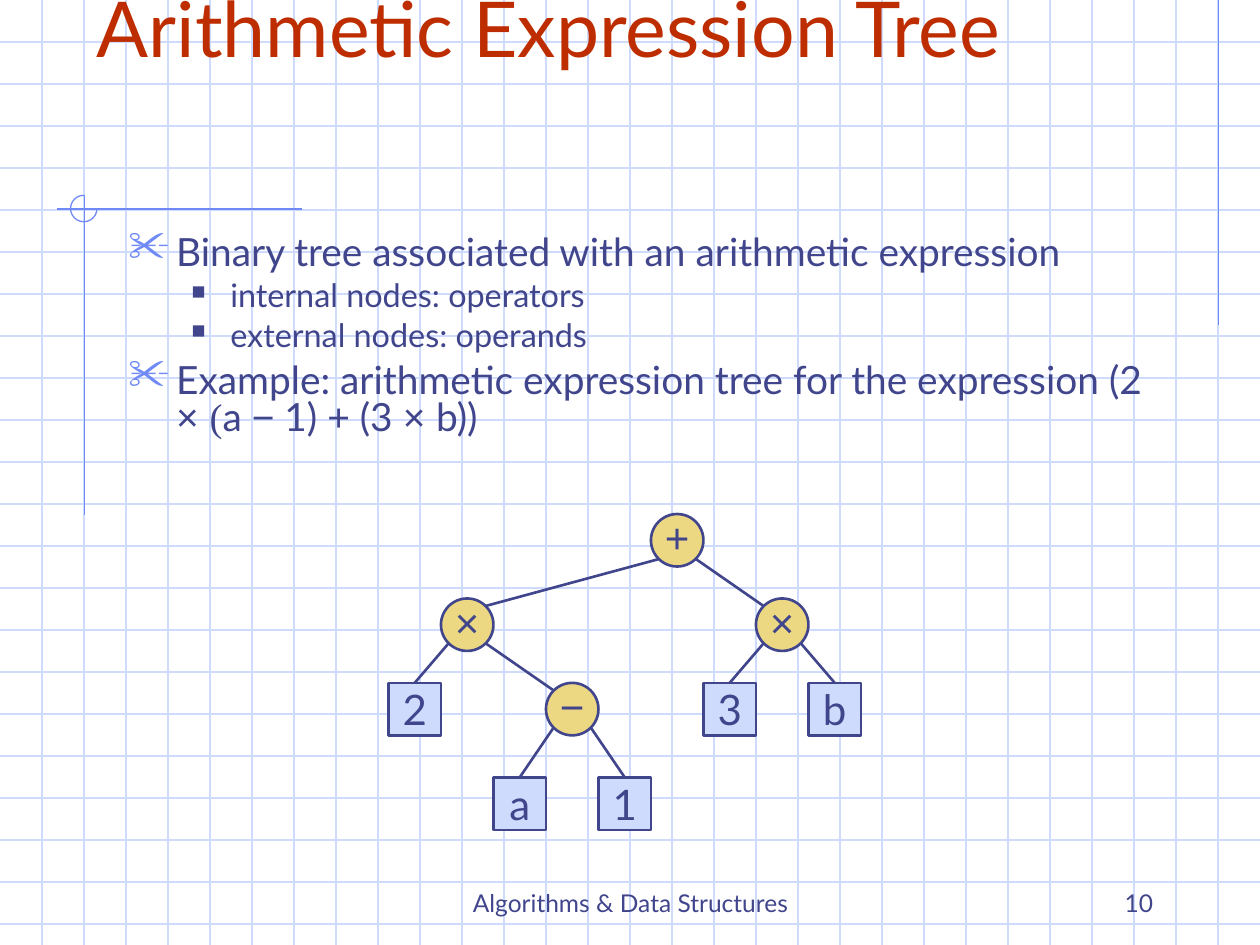
from lxml.etree import SubElement
from pptx import Presentation
from pptx.dml.color import RGBColor
from pptx.enum.shapes import MSO_CONNECTOR, MSO_SHAPE
from pptx.enum.text import MSO_ANCHOR, PP_ALIGN
from pptx.oxml.ns import qn
from pptx.util import Inches, Pt

INK = RGBColor(0x40, 0x45, 0x8C)
RED = RGBColor(0xBE, 0x2D, 0x00)
GRID = RGBColor(0xCF, 0xDB, 0xFD)
BLUE = RGBColor(0x6F, 0x89, 0xF7)
GOLD = RGBColor(0xEC, 0xD8, 0x82)

presentation = Presentation()
presentation.slide_width = Inches(10)
presentation.slide_height = Inches(7.5)
slide = presentation.slides.add_slide(presentation.slide_layouts[6])


def add_line(x1, y1, x2, y2, color, width=0.75):
    line = slide.shapes.add_connector(
        MSO_CONNECTOR.STRAIGHT, Inches(x1), Inches(y1), Inches(x2), Inches(y2))
    line.line.color.rgb = color
    line.line.width = Pt(width)
    SubElement(line._element.spPr, qn("a:effectLst"))


def add_text(paragraph, text, size=24, font="Lato", color=INK, align=PP_ALIGN.LEFT):
    paragraph.alignment = align
    run = paragraph.add_run()
    run.text = text
    run.font.size = Pt(size)
    run.font.name = font
    run.font.color.rgb = color


for row in range(1, 23):
    add_line(0, row / 3, 10, row / 3, GRID)
for column in range(1, 30):
    add_line(column / 3, 0, column / 3, 7.5, GRID)

add_line(9.67, 0, 9.67, 2.58, BLUE)
add_line(2.4, 1.66, 0.45, 1.66, BLUE)
add_line(0.67, 1.55, 0.67, 4.09, BLUE)
arc = slide.shapes.add_shape(
    MSO_SHAPE.ARC, Inches(0.56), Inches(1.55), Inches(0.21), Inches(0.21))
arc.adjustments[0] = 0
arc.adjustments[1] = 162
arc.shadow.inherit = False
arc.fill.background()
arc.line.color.rgb = BLUE
arc.line.width = Pt(0.75)

captions = [
    ("Algorithms & Data Structures", 3.42, 6.83, 3.17, 14, INK, PP_ALIGN.CENTER),
    ("10", 7.17, 6.83, 2.08, 14, INK, PP_ALIGN.RIGHT),
    ("Arithmetic Expression Tree", 0.67, 0.13, 8.5, 44, RED, PP_ALIGN.LEFT),
]
for text, left, top, width, size, color, align in captions:
    caption = slide.shapes.add_textbox(Inches(left), Inches(top), Inches(width), Inches(0.5))
    caption.text_frame.word_wrap = True
    caption.text_frame.vertical_anchor = MSO_ANCHOR.BOTTOM
    add_text(caption.text_frame.paragraphs[0], text, size=size, color=color, align=align)

body = slide.shapes.add_textbox(Inches(0.92), Inches(1.83), Inches(8.5), Inches(2.08))
body.text_frame.word_wrap = True
bullet_styles = [
    ("✂", BLUE, 110, 0.38, 0.38, 22.2, 6),
    ("■", INK, 60, 0.81, 0.31, 18.5, 5),
]
points = [
    (0, [("Binary tree associated with an arithmetic expression", "Lato")]),
    (1, [("internal nodes: operators", "Lato")]),
    (1, [("external nodes: operands", "Lato")]),
    (0, [("Example: arithmetic expression tree for the expression (2 ", "Lato"),
         ("× ", "Arial"), ("(", "Times New Roman"), ("a ", "Lato"), ("−", "Arial"),
         (" 1) ", "Lato"), ("+", "Arial"), (" (3 ", "Lato"), ("× ", "Arial"),
         ("b))", "Lato")]),
]
for index, (level, runs) in enumerate(points):
    bullet, bullet_color, percent, margin, hanging, size, space = bullet_styles[level]
    paragraph = body.text_frame.add_paragraph() if index else body.text_frame.paragraphs[0]
    properties = paragraph._p.get_or_add_pPr()
    properties.set("marL", str(Inches(margin)))
    properties.set("indent", str(-Inches(hanging)))
    SubElement(SubElement(properties, qn("a:buClr")), qn("a:srgbClr"), val=str(bullet_color))
    SubElement(properties, qn("a:buSzPct"), val=str(percent * 1000))
    SubElement(properties, qn("a:buChar"), char=bullet)
    paragraph.level = level
    paragraph.line_spacing = 0.8
    if index:
        paragraph.space_before = Pt(space)
    for text, font in runs:
        add_text(paragraph, text, size=size, font=font)

NODE = 5 / 12
CORNER = 0.15
tree_left = 37 / 12
row_tops = [4.08, 4.75, 5.42, 6.17]
nodes = {
    "root": ("+", 5, 0, None),
    "right product": ("×", 7, 1, "root"),
    "left product": ("×", 1, 1, "root"),
    "difference": ("−", 3, 2, "left product"),
    "two": ("2", 0, 2, "left product"),
    "a": ("a", 2, 3, "difference"),
    "one": ("1", 4, 3, "difference"),
    "three": ("3", 6, 2, "right product"),
    "b": ("b", 8, 2, "right product"),
}
centers = {}
for name, (label, column, row, parent) in nodes.items():
    left, top = tree_left + column * NODE, row_tops[row]
    centers[name] = (left + NODE / 2, top + NODE / 2)
    is_operator = label in "+×−"
    shape = slide.shapes.add_shape(
        MSO_SHAPE.OVAL if is_operator else MSO_SHAPE.RECTANGLE,
        Inches(left), Inches(top), Inches(NODE), Inches(NODE))
    shape.shadow.inherit = False
    shape.fill.solid()
    shape.fill.fore_color.rgb = GOLD if is_operator else GRID
    shape.line.color.rgb = INK
    shape.line.width = Pt(1.5)
    frame = shape.text_frame
    frame.word_wrap = False
    frame.vertical_anchor = MSO_ANCHOR.MIDDLE
    if is_operator:
        frame.margin_left = frame.margin_right = frame.margin_top = 0
    add_text(frame.paragraphs[0], label, font="Arial" if is_operator else "Lato",
             align=PP_ALIGN.CENTER)

for name, (label, column, row, parent) in nodes.items():
    if parent:
        parent_x, parent_y = centers[parent]
        child_x, child_y = centers[name]
        side = CORNER if child_x > parent_x else -CORNER
        if label in "+×−":
            end_x, end_y = child_x - side, child_y - CORNER
        else:
            end_x, end_y = child_x, child_y - NODE / 2
        add_line(parent_x + side, parent_y + CORNER, end_x, end_y, INK, width=1.5)

presentation.save("out.pptx")
